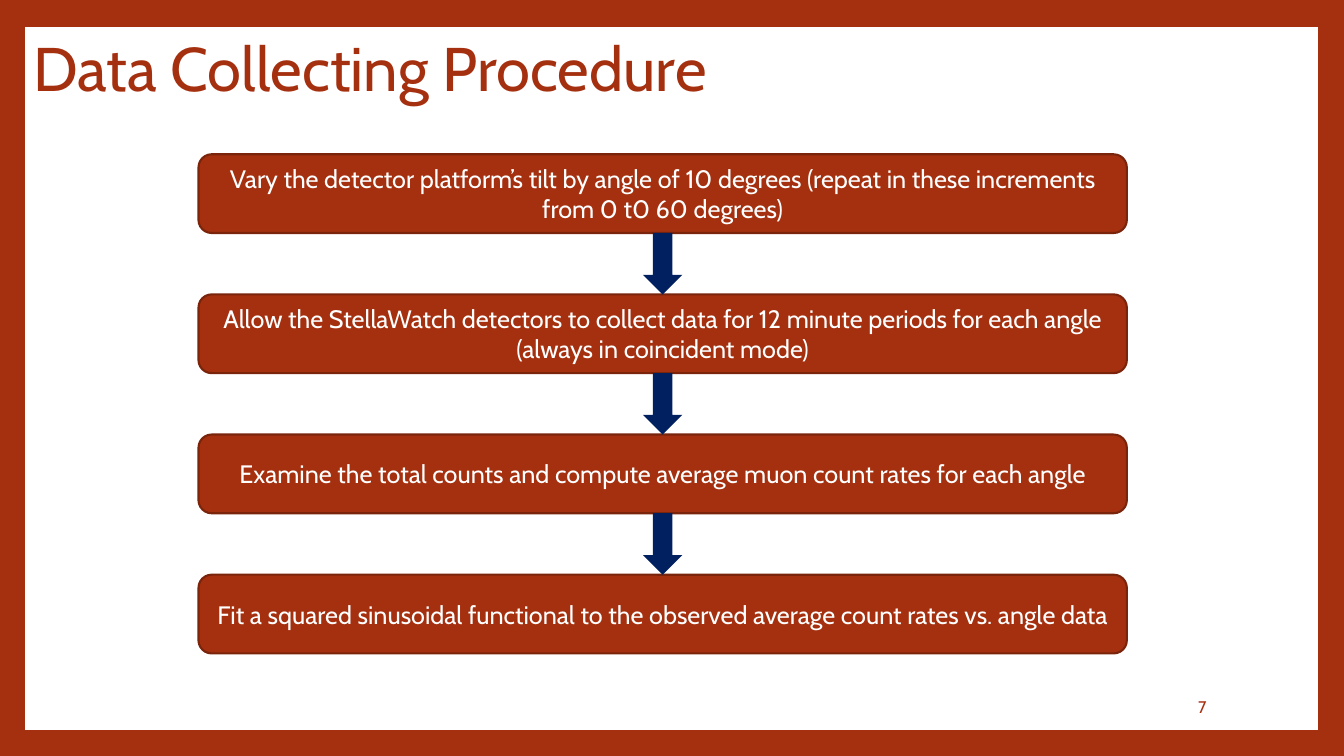
from pptx import Presentation
from pptx.dml.color import RGBColor
from pptx.enum.shapes import MSO_SHAPE
from pptx.enum.text import MSO_ANCHOR, PP_ALIGN
from pptx.util import Pt

RUST = RGBColor(0xA5, 0x30, 0x0F)
DARK_RUST = RGBColor(0x7A, 0x24, 0x0B)
NAVY = RGBColor(0x00, 0x20, 0x60)
WHITE = RGBColor(0xFF, 0xFF, 0xFF)

STEPS = [
    "Vary the detector platform’s tilt by angle of 10 degrees "
    "(repeat in these increments from 0 t0 60 degrees)",
    "Allow the StellaWatch detectors to collect data for 12 minute periods "
    "for each angle (always in coincident mode)",
    "Examine the total counts and compute average muon count rates for each angle",
    "Fit a squared sinusoidal functional to the observed average count rates vs. angle data",
]
STEP_LEFT, STEP_TOP = 141.8, 110.2
STEP_WIDTH, STEP_HEIGHT = 663.1, 56.2
STEP_PITCH = 100.1
ARROW_WIDTH = 28


def add_filled_shape(kind, left, top, width, height, fill):
    shape = slide.shapes.add_shape(kind, Pt(left), Pt(top), Pt(width), Pt(height))
    shape.shadow.inherit = False
    shape.fill.solid()
    shape.fill.fore_color.rgb = fill
    shape.line.fill.background()
    return shape


def write_text(shape, text, size, color, alignment):
    """Put one vertically centred, wrapping paragraph into the shape."""
    frame = shape.text_frame
    frame.word_wrap = True
    frame.vertical_anchor = MSO_ANCHOR.MIDDLE
    paragraph = frame.paragraphs[0]
    paragraph.alignment = alignment
    run = paragraph.add_run()
    run.text = text
    run.font.name = "Cabin"
    run.font.size = Pt(size)
    run.font.color.rgb = color
    return paragraph


presentation = Presentation()
presentation.slide_width = Pt(960)
presentation.slide_height = Pt(540)
slide = presentation.slides.add_slide(presentation.slide_layouts[6])
slide.background.fill.solid()
slide.background.fill.fore_color.rgb = RUST

add_filled_shape(MSO_SHAPE.RECTANGLE, 18, 19.4, 923.4, 502, WHITE)

title = slide.shapes.add_textbox(Pt(16.8), Pt(-2.2), Pt(777.6), Pt(106.6))
title_paragraph = write_text(title, "Data Collecting Procedure", 44, RUST, PP_ALIGN.LEFT)
title_paragraph.line_spacing = 0.9

page_number = slide.shapes.add_textbox(Pt(734.4), Pt(490.3), Pt(134.6), Pt(28.8))
write_text(page_number, "7", 12, RUST, PP_ALIGN.RIGHT)

for index, step in enumerate(STEPS):
    top = STEP_TOP + index * STEP_PITCH
    box = add_filled_shape(MSO_SHAPE.ROUNDED_RECTANGLE, STEP_LEFT, top,
                           STEP_WIDTH, STEP_HEIGHT, RUST)
    box.line.color.rgb = DARK_RUST
    box.line.width = Pt(1.5)
    write_text(box, step, 18, WHITE, PP_ALIGN.CENTER)

arrow_left = STEP_LEFT + (STEP_WIDTH - ARROW_WIDTH) / 2
for index in range(len(STEPS) - 1):
    arrow_top = STEP_TOP + index * STEP_PITCH + STEP_HEIGHT
    add_filled_shape(MSO_SHAPE.DOWN_ARROW, arrow_left, arrow_top,
                     ARROW_WIDTH, STEP_PITCH - STEP_HEIGHT, NAVY)

presentation.save("out.pptx")
